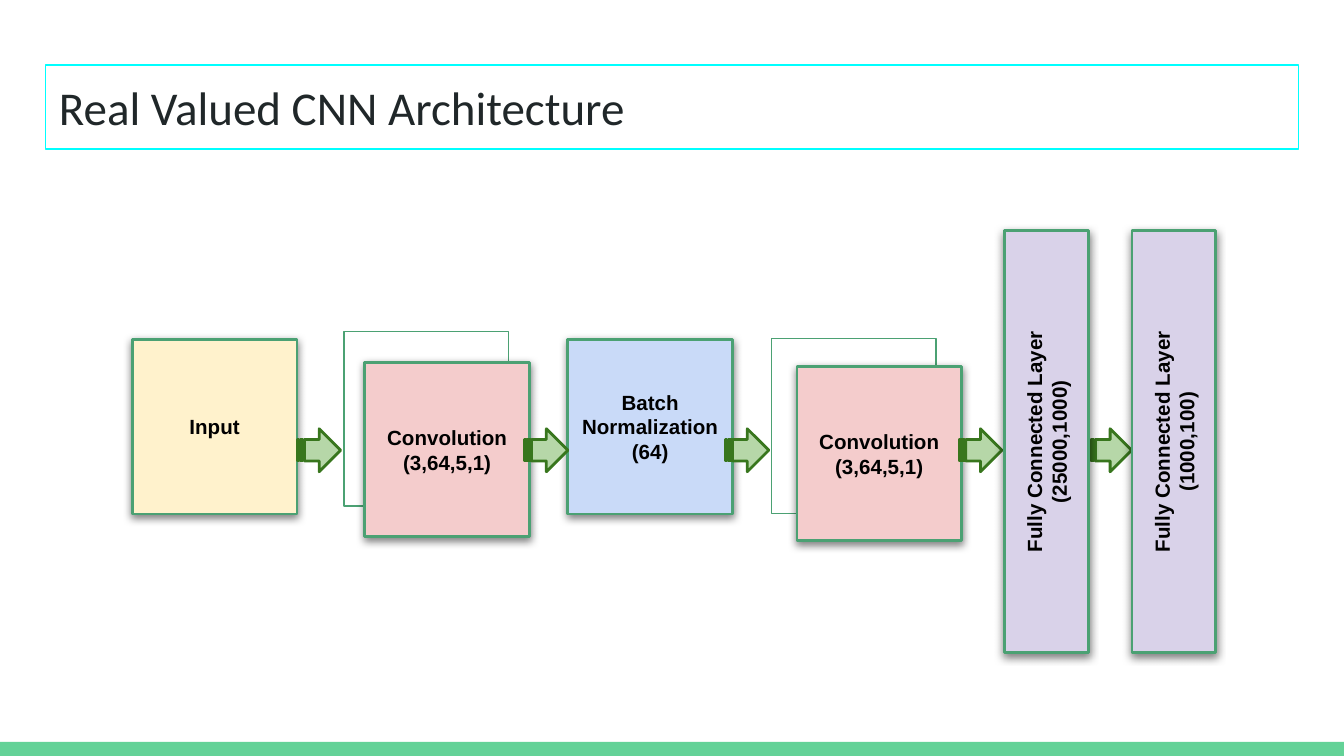
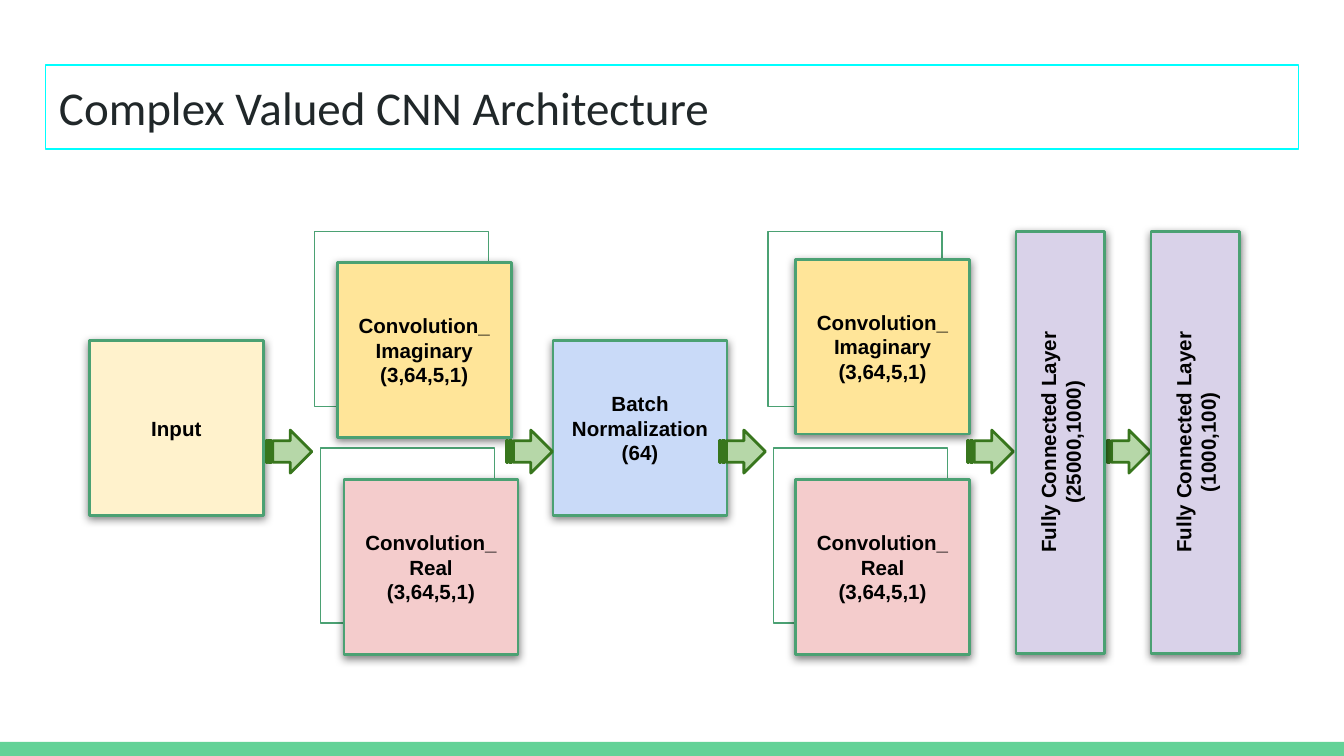
import pptx
import pptx.util
import pptx.dml.color
import pptx.enum.shapes
import pptx.enum.text
import pptx.oxml.ns
import lxml.etree

PX = 4572
SHAPE = pptx.enum.shapes.MSO_SHAPE
ALIGN = pptx.enum.text.PP_ALIGN
ANCHOR = pptx.enum.text.MSO_ANCHOR
qn = pptx.oxml.ns.qn

theme = {
    "band": "63D297", "title_line": "00FFFF", "title": "202729",
    "edge": "4BA173", "back": "FFFFFF", "text": "000000",
    "input": "FFF2CC", "real": "F4CCCC", "imaginary": "FFE599",
    "norm": "C9DAF8", "dense": "D9D2E9",
    "arrow": "B6D7A8", "arrow_line": "38761D",
    "title_font": {"name": "Calibri", "size": pptx.util.Pt(25.2), "bold": False},
    "label_font": {"name": "Arial", "size": pptx.util.Pt(11), "bold": True},
    "thin": 0.75, "thick": 1.5,
}


def add_shape(s, kind, box, fill=None, line=None, weight=0.75, shadow=False):
    sp = s.shapes.add_shape(kind, *[v * PX for v in box])
    sp.shadow.inherit = False
    for part, color in ((sp.fill, fill), (sp.line.fill, line)):
        if color:
            part.solid()
            part.fore_color.rgb = pptx.dml.color.RGBColor.from_string(theme[color])
        else:
            part.background()
    if line:
        sp.line.width = pptx.util.Pt(weight)
    if shadow:
        effects = sp._element.spPr.find(qn("a:effectLst"))
        outer = lxml.etree.SubElement(effects, qn("a:outerShdw"), blurRad="57150",
                                      dist="19050", dir="5400000", algn="bl", rotWithShape="0")
        clr = lxml.etree.SubElement(outer, qn("a:srgbClr"), val="000000")
        lxml.etree.SubElement(clr, qn("a:alpha"), val="50000")
    return sp


def add_text(sp, lines, font, color, align, anchor):
    tf = sp.text_frame
    frame = {"word_wrap": True, "vertical_anchor": anchor}
    frame.update({"margin_" + side: 20 * PX for side in ("left", "top", "right", "bottom")})
    for key, value in frame.items():
        setattr(tf, key, value)
    for i, line in enumerate(lines):
        p = tf.paragraphs[0] if i == 0 else tf.add_paragraph()
        p.alignment = align
        r = p.add_run()
        r.text = line
        for key, value in theme[font].items():
            setattr(r.font, key, value)
        r.font.color.rgb = pptx.dml.color.RGBColor.from_string(theme[color])


INPUT = ["Input"]
NORM = ["Batch Normalization", "(64)"]
CONV = ["Convolution", "(3,64,5,1)"]
IMAGINARY = ["Convolution_", "Imaginary", "(3,64,5,1)"]
REAL = ["Convolution_", "Real", "(3,64,5,1)"]
DENSE = ["(25000,1000)", "(1000,100)"]
BOX_H, ARROW_H, DENSE_H = 260, 64, 628

slides = [
    {
        "title": "Real Valued CNN Architecture",
        "box_w": 245,
        "backs": [(512, 493), (1148, 504)],
        "blocks": [(197, 505, "input", INPUT), (543, 539, "real", CONV),
                   (1186, 545, "real", CONV), (845, 505, "norm", NORM)],
        "arrows": [443, 781, 1080, 1427, 1620], "arrow_y": 638, "arrow_w": 64,
        "dense_centers": [1557, 1747], "dense_y": 657, "dense_w": 125,
    },
    {
        "title": "Complex Valued CNN Architecture",
        "box_w": 259,
        "backs": [(468, 345), (1143, 345), (477, 667), (1151, 667)],
        "blocks": [(133, 507, "input", INPUT), (502, 391, "imaginary", IMAGINARY),
                   (1184, 386, "imaginary", IMAGINARY), (512, 714, "real", REAL),
                   (1184, 714, "real", REAL), (823, 507, "norm", NORM)],
        "arrows": [396, 754, 1071, 1440, 1644], "arrow_y": 640, "arrow_w": 68,
        "dense_centers": [1578, 1779], "dense_y": 658, "dense_w": 132,
    },
]

prs = pptx.Presentation()
prs.slide_width = 2000 * PX
prs.slide_height = 1125 * PX

for d in slides:
    s = prs.slides.add_slide(prs.slide_layouts[6])
    add_shape(s, SHAPE.RECTANGLE, (0, 1104, 2000, 21), "band")
    sp = add_shape(s, SHAPE.RECTANGLE, (68, 97, 1864, 125), None, "title_line", theme["thin"])
    add_text(sp, [d["title"]], "title_font", "title", ALIGN.LEFT, ANCHOR.TOP)

    for x, y in d["backs"]:
        add_shape(s, SHAPE.RECTANGLE, (x, y, d["box_w"], BOX_H), "back", "edge", theme["thin"])

    for x, y, fill, lines in d["blocks"]:
        sp = add_shape(s, SHAPE.RECTANGLE, (x, y, d["box_w"], BOX_H),
                       fill, "edge", theme["thick"], True)
        add_text(sp, lines, "label_font", "text", ALIGN.CENTER, ANCHOR.MIDDLE)

    for x in d["arrows"]:
        add_shape(s, SHAPE.STRIPED_RIGHT_ARROW, (x, d["arrow_y"], d["arrow_w"], ARROW_H),
                  "arrow", "arrow_line", theme["thick"])

    for cx, size in zip(d["dense_centers"], DENSE):
        box = (cx - DENSE_H // 2, d["dense_y"] - d["dense_w"] // 2, DENSE_H, d["dense_w"])
        sp = add_shape(s, SHAPE.RECTANGLE, box, "dense", "edge", theme["thick"], True)
        sp.rotation = 270
        add_text(sp, ["Fully Connected Layer", size], "label_font", "text",
                 ALIGN.CENTER, ANCHOR.MIDDLE)

prs.save("out.pptx")
